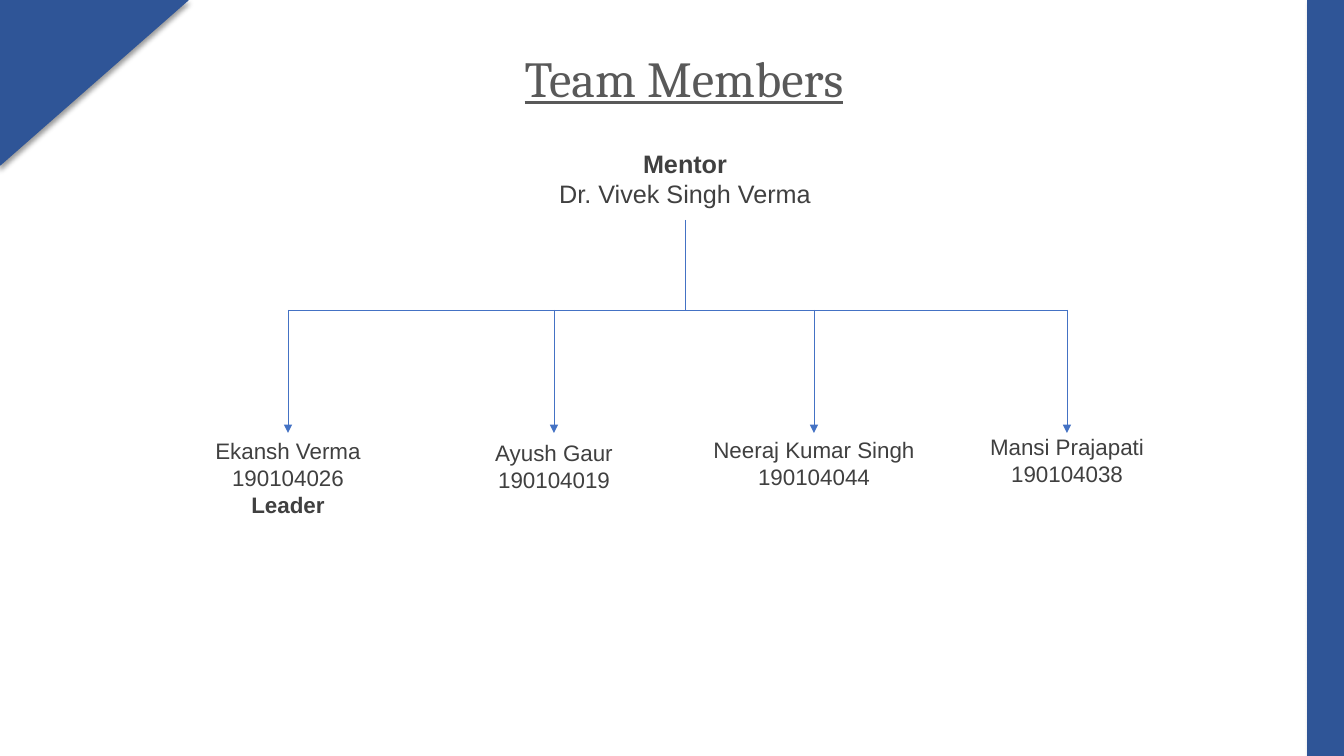
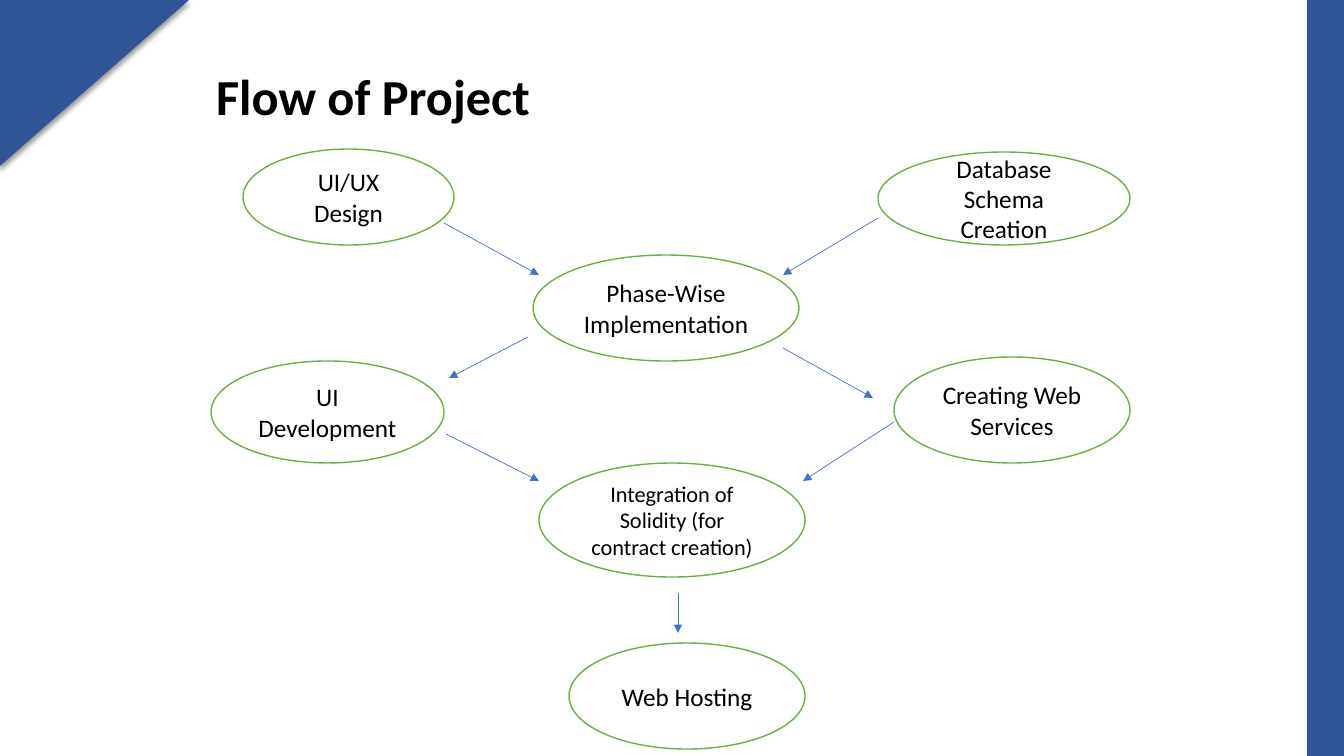
import lxml.etree
import pptx
import pptx.dml.color
import pptx.enum.shapes
import pptx.enum.text
import pptx.oxml.ns
import pptx.util

RGB = pptx.dml.color.RGBColor
SHAPE = pptx.enum.shapes.MSO_SHAPE
ALIGN = pptx.enum.text.PP_ALIGN
ANCHOR = pptx.enum.text.MSO_ANCHOR
qn = pptx.oxml.ns.qn

WIDTH, HEIGHT = 1344, 756
EMU_PER_PX = 12192000 / WIDTH

NAVY = RGB(0x2F, 0x55, 0x97)
BLUE = RGB(0x44, 0x72, 0xC4)
GREEN = RGB(0x70, 0xAD, 0x47)
WHITE = RGB(0xFF, 0xFF, 0xFF)
BLACK = RGB(0x00, 0x00, 0x00)
GREY = RGB(0x59, 0x59, 0x59)
DARK_GREY = RGB(0x40, 0x40, 0x40)


def px(*lengths):
    return [pptx.util.Emu(round(length * EMU_PER_PX)) for length in lengths]


def add_xml(parent, tag, **attributes):
    return lxml.etree.SubElement(parent, qn(tag), attributes)


class Deck:
    def __init__(self):
        self.presentation = pptx.Presentation()
        self.presentation.slide_width, self.presentation.slide_height = px(WIDTH, HEIGHT)
        self.slide = None

    def new_slide(self):
        """Start a slide with the side band and the corner triangle."""
        layout = self.presentation.slide_layouts[5]
        self.slide = self.presentation.slides.add_slide(layout)
        band = self.shape(SHAPE.RECTANGLE, (1308, 0, 36, HEIGHT), NAVY, NAVY)
        self.cast_shadow(band, 45)
        corner = self.shape(SHAPE.DIAGONAL_STRIPE, (0, 0, 188, 165), NAVY, NAVY)
        corner.adjustments[0] = 0
        self.cast_shadow(corner, 90)

    def title(self, text, box, font, color, align, spacing=1.0, bold=False, underline=False):
        title = self.slide.shapes.title
        title.left, title.top, title.width, title.height = px(*box)
        frame = title.text_frame
        self.set_text(frame, text, 36, font, color, align)
        frame.auto_size = pptx.enum.text.MSO_AUTO_SIZE.NONE
        frame.vertical_anchor = ANCHOR.TOP
        frame.paragraphs[0].line_spacing = spacing
        run = frame.paragraphs[0].runs[0]
        run.font.bold = bold
        run.font.underline = underline

    def set_text(self, frame, text, size, font, color, align=ALIGN.CENTER, bold_line=""):
        frame.text = text
        frame.word_wrap = True
        for paragraph in frame.paragraphs:
            paragraph.alignment = align
            for run in paragraph.runs:
                run.font.size = pptx.util.Pt(size)
                run.font.name = font
                run.font.color.rgb = color
                run.font.bold = run.text == bold_line

    def person(self, text, center, top, width, size, bold_line):
        """Place a centred name label, one line of text per detail."""
        height = (text.count("\n") + 1) * size * 5 // 3 + 11
        label = self.slide.shapes.add_textbox(*px(center - width / 2, top, width, height))
        self.set_text(label.text_frame, text, size, "Arial", DARK_GREY, bold_line=bold_line)

    def shape(self, kind, box, fill, outline):
        shape = self.slide.shapes.add_shape(kind, *px(*box))
        shape.shadow.inherit = False
        shape.fill.solid()
        shape.fill.fore_color.rgb = fill
        shape.line.color.rgb = outline
        shape.line.width = pptx.util.Pt(1)
        return shape

    def cast_shadow(self, shape, degrees):
        effects = shape.element.spPr.find(qn("a:effectLst"))
        shadow = add_xml(effects, "a:outerShdw", blurRad=str(int(pptx.util.Pt(4))),
                         dist=str(int(pptx.util.Pt(3))), dir=str(degrees * 60000),
                         algn="t", rotWithShape="0")
        color = add_xml(shadow, "a:srgbClr", val="000000")
        add_xml(color, "a:alpha", val="40000")

    def step(self, text, box, size=18):
        oval = self.shape(SHAPE.OVAL, box, WHITE, GREEN)
        oval.text_frame.vertical_anchor = ANCHOR.MIDDLE
        self.set_text(oval.text_frame, text, size, "Calibri", BLACK)

    def line(self, start, end, arrow=False):
        straight = pptx.enum.shapes.MSO_CONNECTOR.STRAIGHT
        line = self.slide.shapes.add_connector(straight, *px(*start, *end))
        line.line.color.rgb = BLUE
        line.line.width = pptx.util.Pt(0.5)
        properties = line.element.spPr
        if arrow:
            add_xml(properties.find(qn("a:ln")), "a:tailEnd", type="triangle")
        add_xml(properties, "a:effectLst")


def team_slide(deck):
    deck.new_slide()
    deck.title("Team Members", (318, 12, 732, 90), "Cambria", GREY, ALIGN.CENTER,
               spacing=1.5, underline=True)
    deck.person("Mentor\nDr. Vivek Singh Verma", 685, 143, 326, 18, "Mentor")

    branch_y, arrow_end = 310, 433
    members = [
        ("Ekansh Verma\n190104026\nLeader", 288, 432, 202),
        ("Ayush Gaur\n190104019", 554, 434, 168),
        ("Neeraj Kumar Singh\n190104044", 814, 431, 260),
        ("Mansi Prajapati\n190104038", 1067, 428, 216),
    ]
    deck.line((685, 220), (685, branch_y))
    deck.line((members[0][1], branch_y), (members[-1][1], branch_y))
    for details, center, top, width in members:
        deck.person(details, center, top, width, 16, "Leader")
        deck.line((center, branch_y), (center, arrow_end), arrow=True)


def flow_slide(deck):
    deck.new_slide()
    deck.title("Flow of Project", (206, 60, 962, 72), "Calibri", BLACK, ALIGN.LEFT, bold=True)

    deck.step("UI/UX Design", (243, 149, 211, 96))
    deck.step("Database Schema Creation", (878, 152, 252, 93))
    deck.step("Phase-Wise\nImplementation", (533, 255, 266, 106))
    deck.step("UI Development", (211, 361, 233, 102))
    deck.step("Creating Web Services", (894, 357, 236, 106))
    deck.step("Integration of Solidity (for contract creation)", (539, 463, 266, 114), size=16)
    deck.step("Web Hosting", (569, 643, 236, 106))

    for start, end in [
        ((444, 223), (539, 275)),
        ((878, 218), (783, 275)),
        ((528, 337), (449, 378)),
        ((783, 348), (873, 398)),
        ((446, 434), (539, 481)),
        ((894, 422), (803, 481)),
        ((678, 593), (678, 633)),
    ]:
        deck.line(start, end, arrow=True)


def main():
    deck = Deck()
    team_slide(deck)
    flow_slide(deck)
    deck.presentation.save("out.pptx")


if __name__ == "__main__":
    main()
